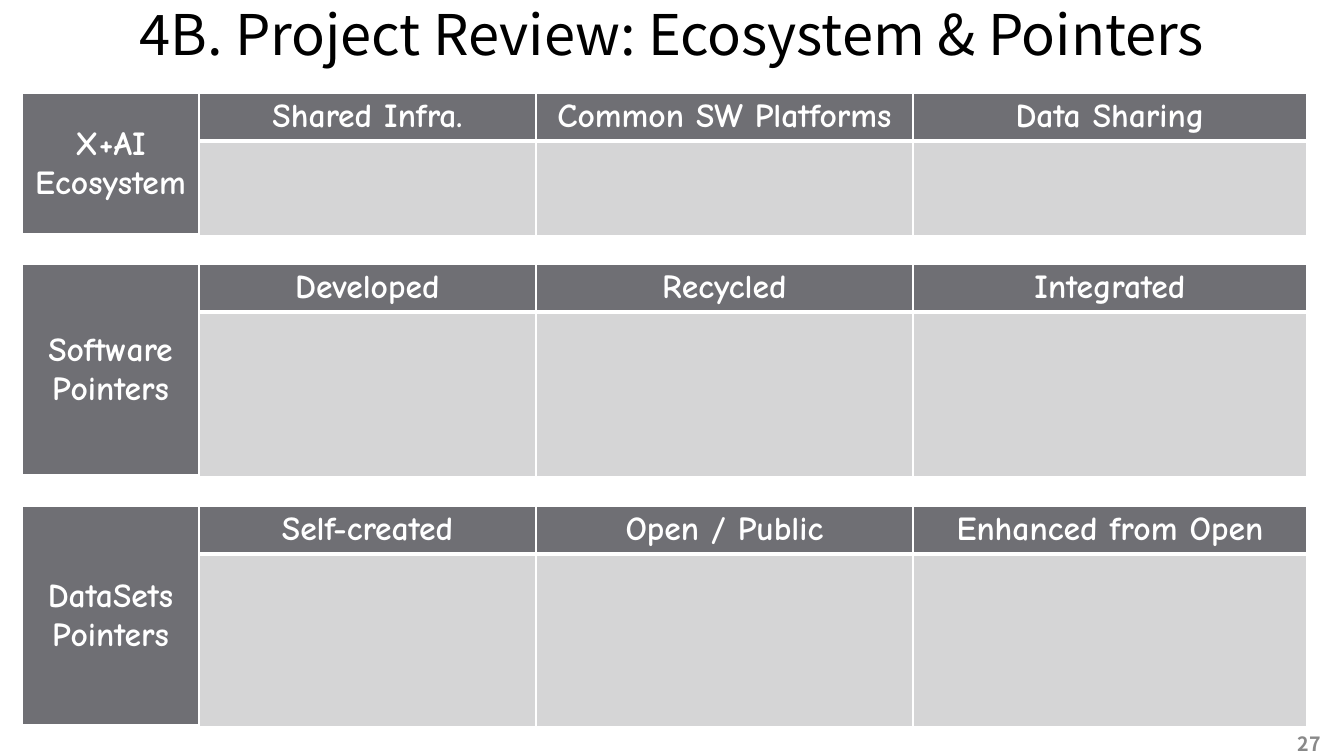
from lxml import etree
from pptx import Presentation
from pptx import util as u
from pptx.dml.color import RGBColor
from pptx.enum import text
from pptx.oxml.ns import qn

PX = 914400 / 100.8
COLORS = {"black": "000000", "white": "FFFFFF", "page": "898989",
          "head": "6F6F74", "body": "D5D5D6"}
SANS, COMIC = "Noto Sans CJK KR", "Comic Neue"


def write(tf, lines, size, color, font, bold=False, anchor=text.MSO_ANCHOR.MIDDLE):
    tf.word_wrap = True
    tf.vertical_anchor = anchor
    for i, line in enumerate(lines.split("\n")):
        p = tf.paragraphs[0] if i == 0 else tf.add_paragraph()
        p.alignment = text.PP_ALIGN.CENTER
        r = p.add_run()
        r.text = line
        r.font.size = u.Pt(size)
        r.font.name = font
        r.font.bold = bold
        r.font.color.rgb = RGBColor.from_string(COLORS[color])


def style_cell(cell, color, bottom):
    cell.margin_top = cell.margin_bottom = round(4 * PX)
    cell.fill.solid()
    cell.fill.fore_color.rgb = RGBColor.from_string(COLORS[color])
    tcPr = cell._tc.get_or_add_tcPr()
    for i, (side, width) in enumerate(zip("LRTB", (1, 1, 1, bottom))):
        ln = etree.Element(qn(f"a:ln{side}"), w=str(u.Pt(width)))
        fill = etree.SubElement(ln, qn("a:solidFill"))
        etree.SubElement(fill, qn("a:srgbClr"), val=COLORS["white"])
        tcPr.insert(i, ln)


prs = Presentation()
prs.slide_width, prs.slide_height = round(1344 * PX), round(756 * PX)
s = prs.slides.add_slide(prs.slide_layouts[5])

title = s.shapes.title
title.left, title.top = 0, round(-3 * PX)
title.width, title.height = round(1344 * PX), round(72 * PX)
write(title.text_frame, "4B. Project Review: Ecosystem & Pointers", 40, "black", SANS)

page = s.shapes.add_textbox(*(round(v * PX) for v in (1275, 729, 69, 30)))
write(page.text_frame, "27", 14, "page", SANS, bold=True)

COLUMNS = (177, 337, 377, 394)
HEADER = 48
SECTIONS = (
    (93, 94, "X+AI\nEcosystem", ("Shared Infra.", "Common SW Platforms", "Data Sharing")),
    (264, 164, "Software\nPointers", ("Developed", "Recycled", "Integrated")),
    (506, 172, "DataSets\nPointers", ("Self-created", "Open / Public", "Enhanced from Open")),
)

for top, body, label, heads in SECTIONS:
    box = (22, top, sum(COLUMNS), HEADER + body)
    table = s.shapes.add_table(2, 4, *(round(v * PX) for v in box)).table
    for column, width in zip(table.columns, COLUMNS):
        column.width = round(width * PX)
    for row, height in zip(table.rows, (HEADER, body)):
        row.height = round(height * PX)
    for c in range(4):
        style_cell(table.cell(0, c), "head", 3)
        style_cell(table.cell(1, c), "body" if c else "head", 1 if c else 3)
    table.cell(0, 0).merge(table.cell(1, 0))
    for c, words in enumerate((label, *heads)):
        cell = table.cell(0, c)
        anchor = text.MSO_ANCHOR.TOP if c else text.MSO_ANCHOR.MIDDLE
        write(cell.text_frame, words, 24, "white", COMIC, bold=True)
        cell.vertical_anchor = anchor

prs.save("out.pptx")
